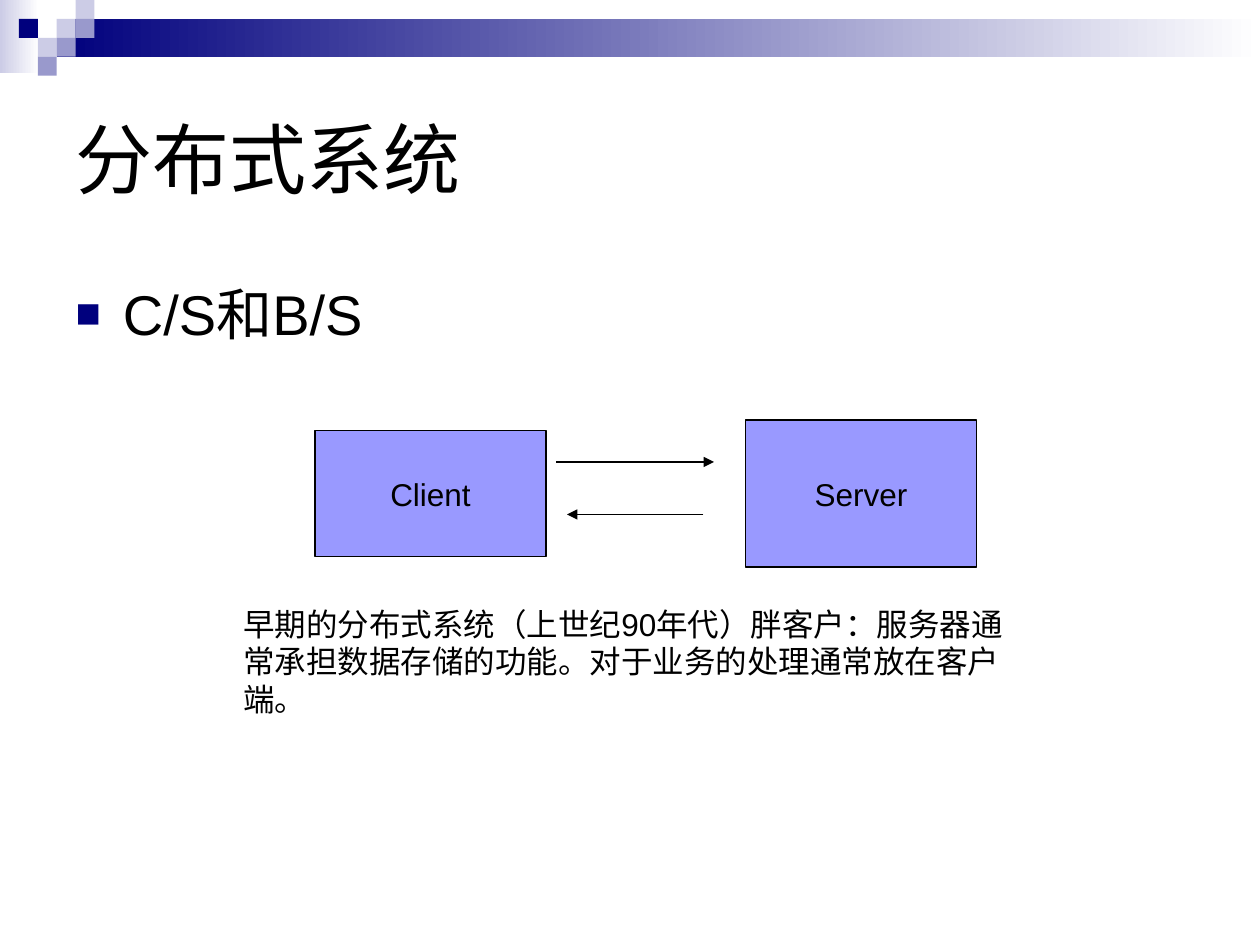
from dataclasses import dataclass

from lxml import etree
from pptx import Presentation
from pptx.dml.color import RGBColor as Rgb
from pptx.enum import shapes, text
from pptx.oxml import ns
from pptx.util import Pt


@dataclass(frozen=True)
class Theme:
    """Hold the colours, font and type sizes of the slide."""
    ink: str = "000000"
    navy: str = "00007D"
    pale: str = "CCCCE6"
    mid: str = "9999CC"
    node: str = "9999FF"
    white: str = "FFFFFF"
    font: str = "Arial"
    title: int = 44
    list: int = 32
    text: int = 18
    line: float = 0.75


THEME = Theme()


def place(shape, box):
    """Move a shape to a box of left, top, width and height."""
    shape.left, shape.top, shape.width, shape.height = map(Pt, box)


def write(shape, words, size, align=text.PP_ALIGN.LEFT):
    """Write one formatted paragraph and return it."""
    shape.text_frame.text = words
    para = shape.text_frame.paragraphs[0]
    para.alignment = align
    para.space_before = Pt(0)
    for run in para.runs:
        run.font.name = THEME.font
        run.font.size = Pt(size)
        run.font.color.rgb = Rgb.from_string(THEME.ink)
    return para


def add(parent, tag, **attrs):
    """Append a DrawingML element to a parent."""
    return etree.SubElement(parent, ns.qn(tag), attrs)


def rect(slide, box):
    """Add a rectangle without shadow or outline."""
    shape = slide.shapes.add_shape(shapes.MSO_SHAPE.RECTANGLE, *map(Pt, box))
    shape.shadow.inherit = False
    shape.line.fill.background()
    return shape


def paint(shape, color):
    """Fill a shape with one colour."""
    shape.fill.solid()
    shape.fill.fore_color.rgb = Rgb.from_string(color)


def fade(slide, box, color):
    """Add a band that fades to white towards the right."""
    fill = rect(slide, box).fill
    fill.gradient()
    fill.gradient_angle = 0
    for stop, hue, pos in zip(fill.gradient_stops, (color, THEME.white), (0, 1)):
        stop.color.rgb = Rgb.from_string(hue)
        stop.position = pos


def banner(slide, box):
    """Draw the fading bands and the mosaic of squares."""
    left, top, width, height = box
    side = 10.8
    fade(slide, (left, top, 22.3, height), THEME.pale)
    fade(slide, (left + 32.4, top + side, width - 32.4, 2 * side), THEME.navy)
    tiles = (
        (3, 1, THEME.pale), (4, 0, THEME.pale), (4, 1, THEME.mid),
        (2, 2, THEME.pale), (1, 1, THEME.navy), (3, 2, THEME.mid),
        (2, 3, THEME.mid),
    )
    for col, row, color in tiles:
        spot = (left + col * side, top + row * side, side, side)
        paint(rect(slide, spot), color)


def heading(slide, box, words):
    """Fill the title placeholder."""
    shape = slide.shapes.title
    place(shape, box)
    write(shape, words, THEME.title)
    shape.text_frame.auto_size = text.MSO_AUTO_SIZE.NONE
    shape.text_frame.vertical_anchor = text.MSO_ANCHOR.MIDDLE


def points(slide, box, words):
    """Fill the body placeholder with a square-bulleted line."""
    shape = slide.placeholders[1]
    place(shape, box)
    para = write(shape, words, THEME.list)
    shape.text_frame.auto_size = text.MSO_AUTO_SIZE.NONE
    props = para._p.get_or_add_pPr()
    props.set("marL", str(Pt(27)))
    props.set("indent", str(-Pt(27)))
    add(add(props, "a:buClr"), "a:srgbClr", val=THEME.navy)
    add(props, "a:buSzPct", val="75000")
    add(props, "a:buFont", typeface=THEME.font)
    add(props, "a:buChar", char="■")


def node(slide, box, words):
    """Draw one labelled box of the diagram."""
    shape = rect(slide, box)
    paint(shape, THEME.node)
    shape.line.color.rgb = Rgb.from_string(THEME.ink)
    shape.line.width = Pt(THEME.line)
    write(shape, words, THEME.text, text.PP_ALIGN.CENTER)
    shape.text_frame.word_wrap = False
    shape.text_frame.vertical_anchor = text.MSO_ANCHOR.MIDDLE


def arrow(slide, start, end, level):
    """Draw a level arrow from start to end."""
    link = slide.shapes.add_connector(
        shapes.MSO_CONNECTOR.STRAIGHT, Pt(start), Pt(level), Pt(end), Pt(level))
    link.line.color.rgb = Rgb.from_string(THEME.ink)
    link.line.width = Pt(THEME.line)
    props = link._element.spPr
    add(props.find(ns.qn("a:ln")), "a:tailEnd", type="triangle")
    add(props, "a:effectLst")


def diagram(slide, box):
    """Draw client and server with a request and a reply between them."""
    left, top, width, height = box
    wide = 132
    right = left + width - wide
    node(slide, (left, top + 6, wide, height - 12), "Client")
    node(slide, (right, top, wide, height), "Server")
    arrow(slide, left + wide + 6, right - 18, top + 24)
    arrow(slide, right - 24, left + wide + 12, top + 54)


def note(slide, box, words):
    """Add the wrapped explanation."""
    shape = slide.shapes.add_textbox(*map(Pt, box))
    shape.text_frame.word_wrap = True
    write(shape, words, THEME.text)


def main():
    """Build and save the slide."""
    deck = Presentation()
    deck.slide_width, deck.slide_height = Pt(720), Pt(540)
    slide = deck.slides.add_slide(deck.slide_layouts[1])
    banner(slide, (0, 0, 720, 42))
    heading(slide, (36, 36, 648, 108), "分布式系统")
    points(slide, (36, 156, 648, 306), "C/S和B/S")
    diagram(slide, (180, 240, 378, 84))
    note(slide, (132, 342, 448.5, 72),
         "早期的分布式系统（上世纪90年代）胖客户：服务器通常承担数据存储的功能。"
         "对于业务的处理通常放在客户端。")
    deck.save("out.pptx")


if __name__ == "__main__":
    main()
